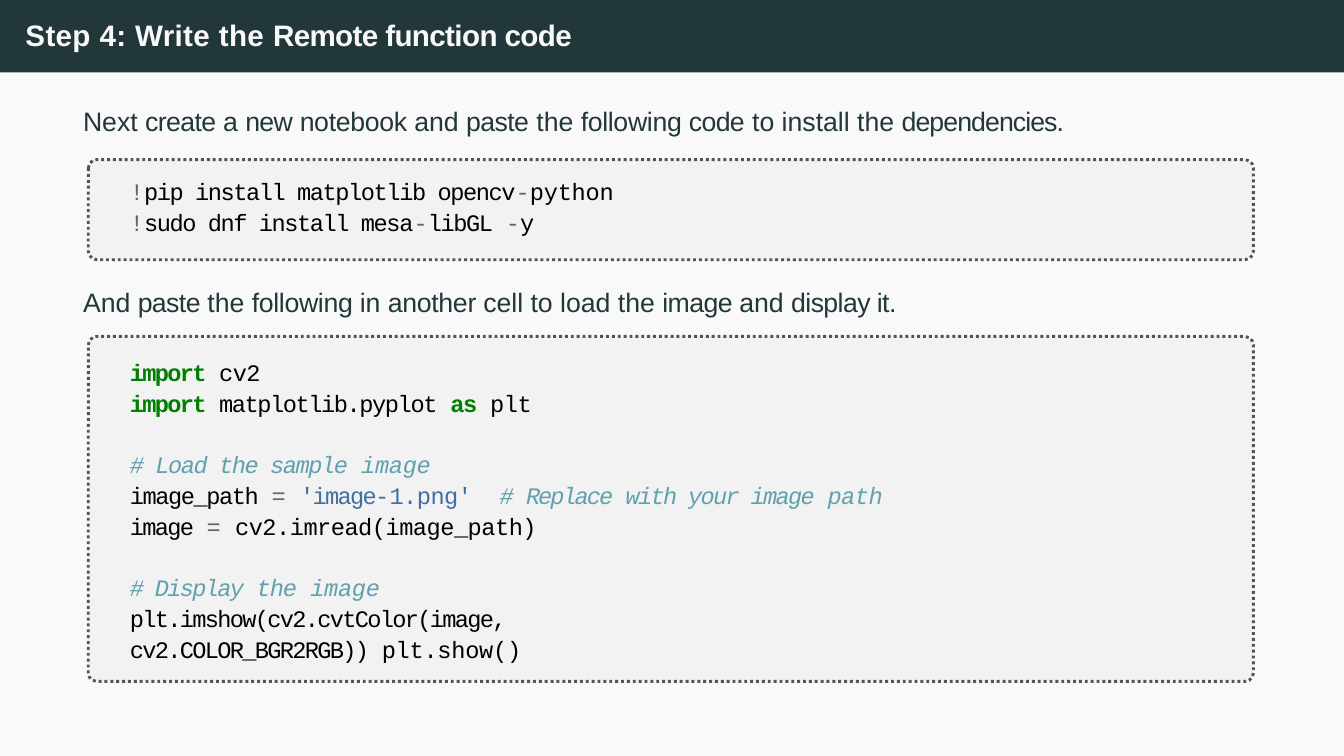
from pptx import Presentation
from pptx.dml.color import RGBColor
from pptx.enum.dml import MSO_LINE
from pptx.enum.shapes import MSO_SHAPE
from pptx.util import Inches, Pt

COLORS = {
    "page": "F9F9F9", "dark": "22373A", "panel": "F2F2F2", "border": "545454",
    "plain": "000000", "operator": "666666", "keyword": "007F00",
    "comment": "60A0AF", "string": "3F70A0",
}
CODE_PITCH = 10.4  # points from one code line to the next
CODE_LEFT = 0.61


class SlideBuilder:
    def __init__(self, page):
        self.page = page
        fill = page.background.fill
        fill.solid()
        fill.fore_color.rgb = self.color("page")

    def color(self, name):
        return RGBColor.from_string(COLORS[name])

    def shape(self, kind, left, top, width, height, fill):
        shape = self.page.shapes.add_shape(
            kind, Inches(left), Inches(top), Inches(width), Inches(height))
        shape.shadow.inherit = False
        shape.fill.solid()
        shape.fill.fore_color.rgb = self.color(fill)
        shape.line.fill.background()
        return shape

    def code_panel(self, top, height):
        panel = self.shape(MSO_SHAPE.ROUNDED_RECTANGLE, 0.415, top, 5.47, height, "panel")
        panel.adjustments[0] = 0.04 / height
        panel.line.color.rgb = self.color("border")
        panel.line.width = Pt(1)
        panel.line.dash_style = MSO_LINE.ROUND_DOT

    def text_frame(self, left, top, width, height):
        box = self.page.shapes.add_textbox(
            Inches(left), Inches(top), Inches(width), Inches(height))
        frame = box.text_frame
        frame.word_wrap = True
        frame.margin_left = frame.margin_right = 0
        frame.margin_top = frame.margin_bottom = 0
        return frame

    def span(self, para, text, spacing, font, size, color, bold=False, italic=False):
        """Add one run; spacing is the letter spacing in points."""
        run = para.add_run()
        run.text = text
        run.font.name = font
        run.font.size = Pt(size)
        run.font.bold = bold
        run.font.italic = italic
        run.font.color.rgb = self.color(color)
        if spacing:
            run.font._element.set("spc", str(round(spacing * 100)))

    def sentence(self, left, top, width, spans, size=9, color="dark", bold=False):
        para = self.text_frame(left, top, width, 0.19).paragraphs[0]
        for text, spacing in spans:
            self.span(para, text, spacing, "Arial", size, color, bold)

    def code(self, top, lines, first_line=0, width=5):
        """Place code lines, first_line rows below top."""
        pitch = CODE_PITCH / 72
        frame = self.text_frame(
            CODE_LEFT, top + first_line * pitch, width, len(lines) * pitch)
        for index, line in enumerate(lines):
            para = frame.add_paragraph() if index else frame.paragraphs[0]
            para.line_spacing = Pt(CODE_PITCH)
            for text, spacing, color in line:
                self.span(para, text, spacing, "Courier New", 8, color,
                          color == "keyword", color == "comment")


INSTALL = [
    [("!", -0.6, "operator"), ("pip install matplotlib opencv", -0.5, "plain"),
     ("-", -0.5, "operator"), ("python", -0.1, "plain")],
    [("!", -0.6, "operator"), ("sudo dnf install mesa", -0.5, "plain"),
     ("-", -0.5, "operator"), ("libGL ", -0.5, "plain"),
     ("-", -0.5, "operator"), ("y", -0.5, "plain")],
]
IMPORTS = [
    [("import ", -0.6, "keyword"), ("cv2", -0.2, "plain")],
    [("import ", -0.6, "keyword"), ("matplotlib.pyplot ", -0.5, "plain"),
     ("as ", -0.5, "keyword"), ("plt", -0.2, "plain")],
]
LOAD = [
    [("# Load the ", -0.5, "comment"), ("sample ", -0.5, "comment"),
     ("image", -0.1, "comment")],
    [("image_path ", -0.5, "plain"), ("= ", 0, "operator"),
     ("'image-", -0.6, "string"), ("1.png'  ", -0.2, "string"),
     ("#", -0.6, "comment"), (" Replace ", -0.7, "comment"),
     ("with your", -0.6, "comment"), (" image ", -0.6, "comment"),
     ("path", -0.2, "comment")],
    [("image ", -0.6, "plain"), ("= ", 0, "operator"),
     ("cv2.imread(image_path)", -0.2, "plain")],
]
DISPLAY = [
    [("# Display ", -0.6, "comment"), ("the ", -0.4, "comment"),
     ("image", -0.1, "comment")],
    [("plt.imshow(cv2.cvtColor(image, cv2.COLOR_BGR2RGB)) ", -0.6, "plain"),
     ("plt.show()", -0.1, "plain")],
]


def main():
    deck = Presentation()
    deck.slide_width, deck.slide_height = Inches(6.31), Inches(3.55)
    slide = SlideBuilder(deck.slides.add_slide(deck.slide_layouts[6]))

    slide.shape(MSO_SHAPE.RECTANGLE, 0, 0, 6.31, 0.34, "dark")
    slide.sentence(0.12, 0.08, 4, [
        ("Step 4: Write the ", 0.15), ("Remote function code", -0.2),
    ], size=10, color="page", bold=True)

    slide.sentence(0.39, 0.49, 5.4, [
        ("Next ", 0), ("create ", -0.2), ("a ", 0), ("new ", -0.2),
        ("notebook", -0.1), (" and ", 0), ("paste", -0.2), (" the ", 0),
        ("following ", -0.1), ("code", -0.2), (" to install the ", 0),
        ("dependencies.", -0.3),
    ])
    slide.code_panel(0.75, 0.47)
    slide.code(0.82, INSTALL)

    slide.sentence(0.39, 1.34, 5.4, [
        ("And ", 0), ("paste ", -0.2), ("the ", 0), ("following ", -0.1),
        ("in ", 0), ("another ", -0.1), ("cell to load the ", 0),
        ("image ", -0.2), ("and ", 0), ("display it.", -0.2),
    ])
    slide.code_panel(1.58, 1.62)
    slide.code(1.67, IMPORTS)
    slide.code(1.67, LOAD, first_line=3)
    slide.code(1.67, DISPLAY, first_line=7, width=2.2)

    deck.save("out.pptx")


if __name__ == "__main__":
    main()
